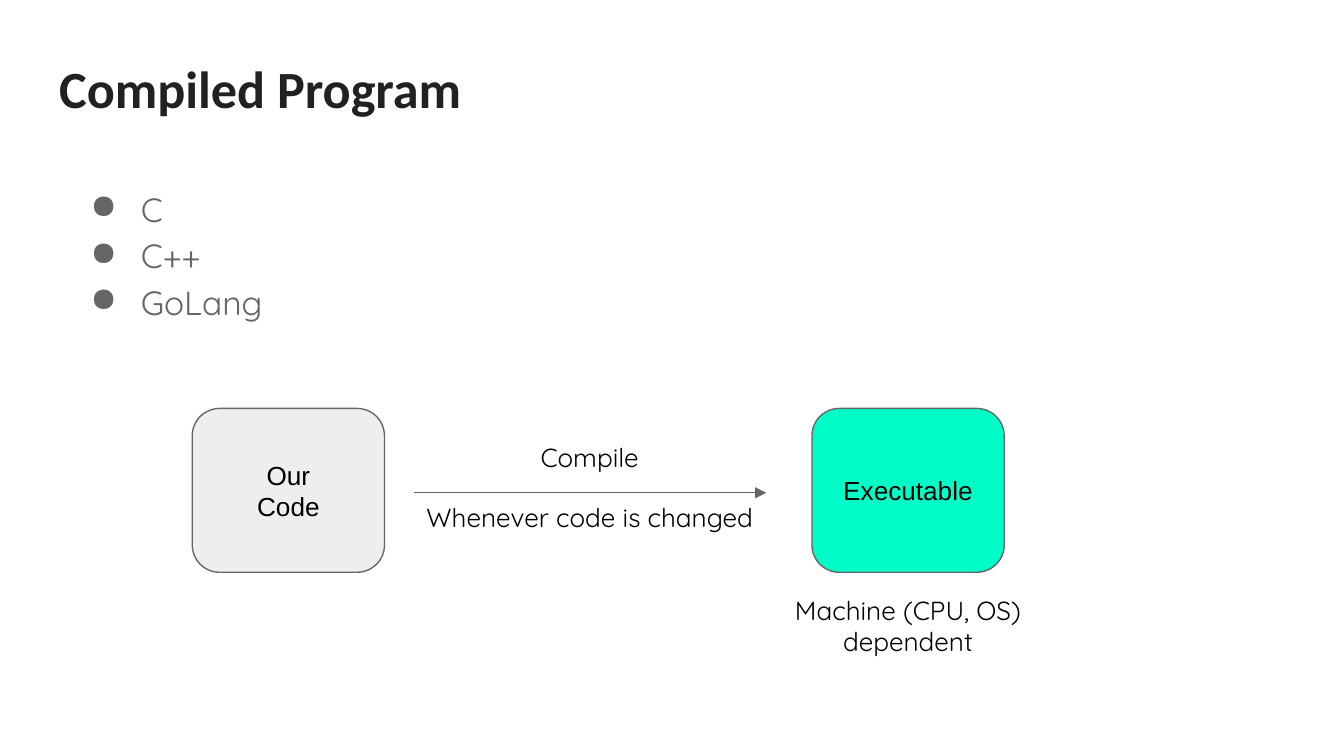
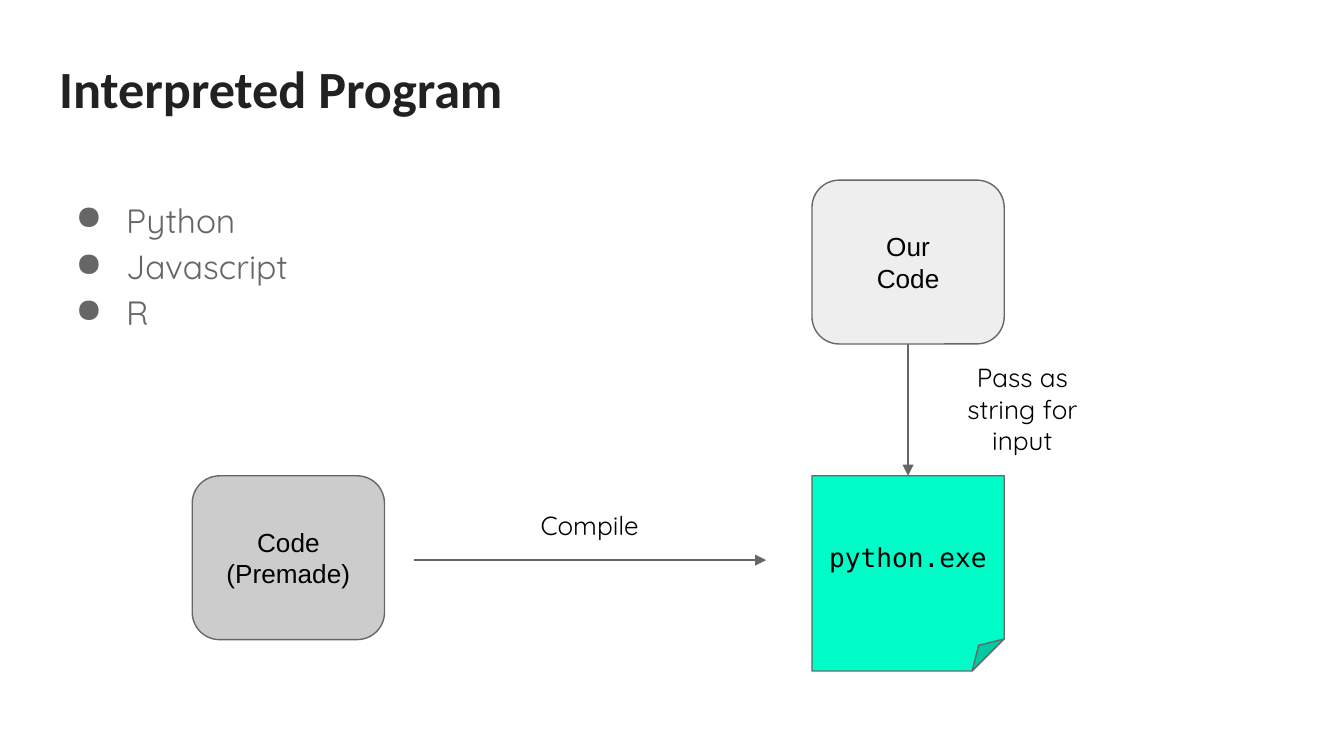
from lxml.etree import SubElement
from pptx import Presentation
from pptx.dml.color import RGBColor
from pptx.enum.shapes import MSO_CONNECTOR as Connector, MSO_SHAPE as Shape
from pptx.enum.text import MSO_ANCHOR as Anchor, MSO_AUTO_SIZE as AutoSize, PP_ALIGN as Align
from pptx.oxml.ns import qn
from pptx.util import Pt

INK = RGBColor(0x21, 0x21, 0x21)
GRAY = RGBColor(0x66, 0x66, 0x66)
BLACK = RGBColor(0, 0, 0)
LIGHT = RGBColor(0xEE, 0xEE, 0xEE)
MEDIUM = RGBColor(0xCC, 0xCC, 0xCC)
MINT = RGBColor(0x00, 0xFD, 0xC8)

HEADING_FONT, BODY_FONT, BOX_FONT, CODE_FONT = "Calibri", "Quicksand", "Arial", "DejaVu Sans Mono"
INSET = 7.2
LINE_WIDTH = 0.75
BOX_WIDTH, BOX_HEIGHT = 103, 87.8
SOURCE_LEFT, RESULT_LEFT = 103, 435
LABEL_WIDTH, LABEL_HEIGHT, WIDE_LABEL = 96.5, 31.7, 204


def place(shape, left, top, width, height):
    shape.left, shape.top, shape.width, shape.height = Pt(left), Pt(top), Pt(width), Pt(height)


def add_bullet(paragraph):
    paragraph.line_spacing = 1.15
    properties = paragraph._p.get_or_add_pPr()
    properties.set("marL", str(Pt(36)))
    properties.set("indent", str(-Pt(27)))
    bullet_color = SubElement(properties, qn("a:buClr"))
    SubElement(bullet_color, qn("a:srgbClr"), val=str(GRAY))
    SubElement(properties, qn("a:buChar"), char="●")


def write(frame, lines, font_name, size, color, align=Align.CENTER, anchor=Anchor.TOP, bold=False, bulleted=False):
    frame.word_wrap = True
    frame.vertical_anchor = anchor
    frame.margin_left = frame.margin_right = frame.margin_top = frame.margin_bottom = Pt(INSET)
    frame.text = "\n".join(lines)
    for paragraph in frame.paragraphs:
        paragraph.alignment = align
        if bulleted:
            add_bullet(paragraph)
        font = paragraph.font
        font.name, font.size, font.bold = font_name, Pt(size), bold
        font.color.rgb = color


def add_title(slide, text):
    title = slide.shapes.title
    place(title, 24.5, 23, 671, 63.4)
    title.text_frame.auto_size = AutoSize.NONE
    write(title.text_frame, [text], HEADING_FONT, 28, INK, Align.LEFT, bold=True)


def add_bullets(slide, items, left, top, width, height):
    box = slide.shapes.add_textbox(Pt(left), Pt(top), Pt(width), Pt(height))
    write(box.text_frame, items, BODY_FONT, 18, GRAY, Align.LEFT, bulleted=True)


def add_box(slide, lines, fill, left, top, height=BOX_HEIGHT, kind=Shape.ROUNDED_RECTANGLE, font_name=BOX_FONT):
    box = slide.shapes.add_shape(kind, Pt(left), Pt(top), Pt(BOX_WIDTH), Pt(height))
    box.shadow.inherit = False
    box.fill.solid()
    box.fill.fore_color.rgb = fill
    box.line.color.rgb = GRAY
    box.line.width = Pt(LINE_WIDTH)
    write(box.text_frame, lines, font_name, 14, BLACK, anchor=Anchor.MIDDLE)


def add_label(slide, text, left, top, width=LABEL_WIDTH, height=LABEL_HEIGHT):
    label = slide.shapes.add_textbox(Pt(left), Pt(top), Pt(width), Pt(height))
    write(label.text_frame, [text], BODY_FONT, 14, BLACK)
    label.text_frame.auto_size = AutoSize.SHAPE_TO_FIT_TEXT


def add_arrow(slide, x1, y1, x2, y2):
    arrow = slide.shapes.add_connector(Connector.STRAIGHT, Pt(x1), Pt(y1), Pt(x2), Pt(y2))
    arrow.line.color.rgb = GRAY
    arrow.line.width = Pt(LINE_WIDTH)
    properties = arrow._element.spPr
    SubElement(properties.find(qn("a:ln")), qn("a:tailEnd"), type="triangle")
    SubElement(properties, qn("a:effectLst"))


def add_compile_step(slide, lines, fill, top):
    arrow_y = top + 45.2
    add_box(slide, lines, fill, SOURCE_LEFT, top)
    add_arrow(slide, 222, arrow_y, 410.5, arrow_y)
    add_label(slide, "Compile", 267.7, arrow_y - 34.5)
    return arrow_y


def build_compiled(slide):
    top = 218.8
    add_title(slide, "Compiled Program")
    add_bullets(slide, ["C", "C++", "GoLang"], 32.4, 90.7, 553.7, 67)
    arrow_y = add_compile_step(slide, ["Our", "Code"], LIGHT, top)
    add_label(slide, "Whenever code is changed", 214, arrow_y - 2.8, WIDE_LABEL)
    add_box(slide, ["Executable"], MINT, RESULT_LEFT, top)
    add_label(slide, "Machine (CPU, OS) dependent", RESULT_LEFT + (BOX_WIDTH - WIDE_LABEL) / 2,
              top + BOX_HEIGHT + 4.4, WIDE_LABEL, 48.2)


def build_interpreted(slide):
    top, code_top = 254.9, 96.5
    code_bottom = code_top + BOX_HEIGHT
    center = RESULT_LEFT + BOX_WIDTH / 2
    add_title(slide, "Interpreted Program")
    add_bullets(slide, ["Python", "Javascript", "R"], 24.5, 96.5, 671, 262.8)
    add_compile_step(slide, ["Code", "(Premade)"], MEDIUM, top)
    add_box(slide, ["Our", "Code"], LIGHT, RESULT_LEFT, code_top)
    add_arrow(slide, center, code_bottom, center, top)
    add_label(slide, "Pass as string for input", center + 13, code_bottom + 2.2, height=65.5)
    add_box(slide, ["python.exe"], MINT, RESULT_LEFT, top, 104.6, Shape.FOLDED_CORNER, CODE_FONT)


def main():
    presentation = Presentation()
    presentation.slide_width, presentation.slide_height = Pt(720), Pt(405)
    title_only = presentation.slide_layouts[5]
    for build in (build_compiled, build_interpreted):
        build(presentation.slides.add_slide(title_only))
    presentation.save("out.pptx")


if __name__ == "__main__":
    main()
